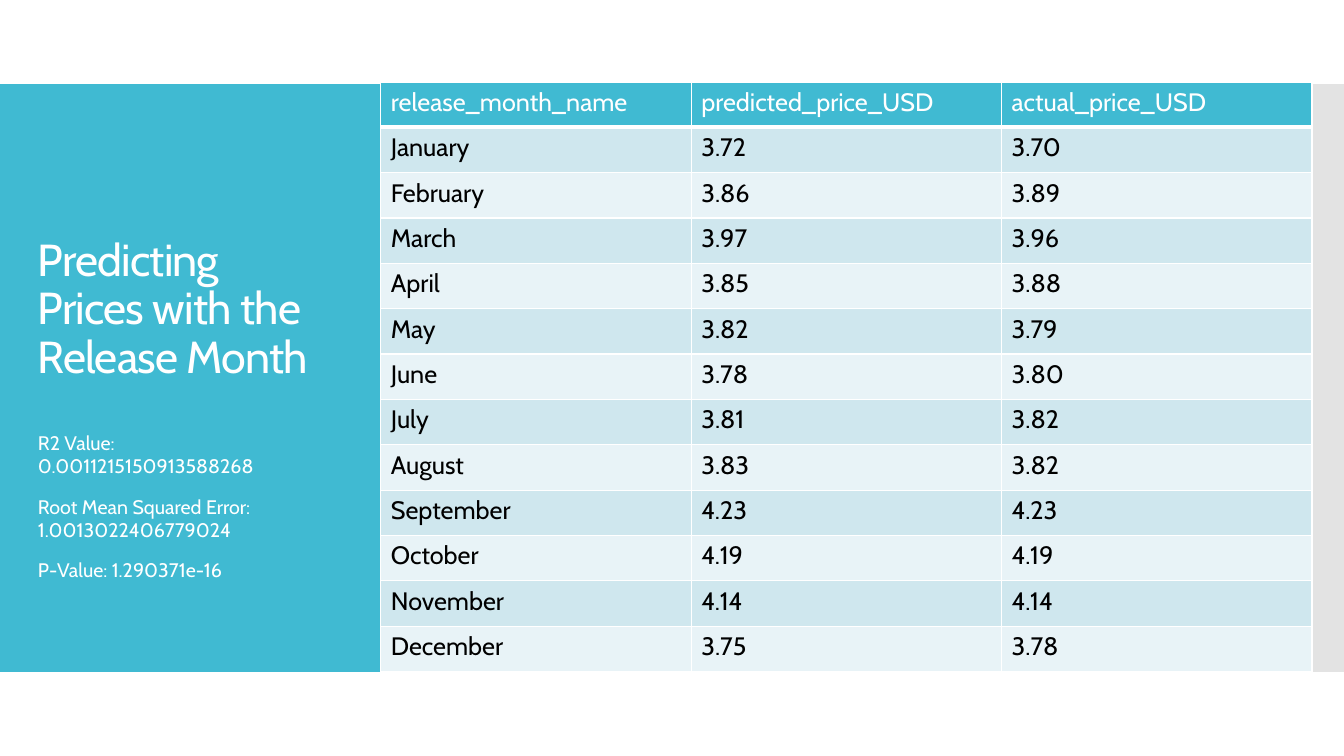
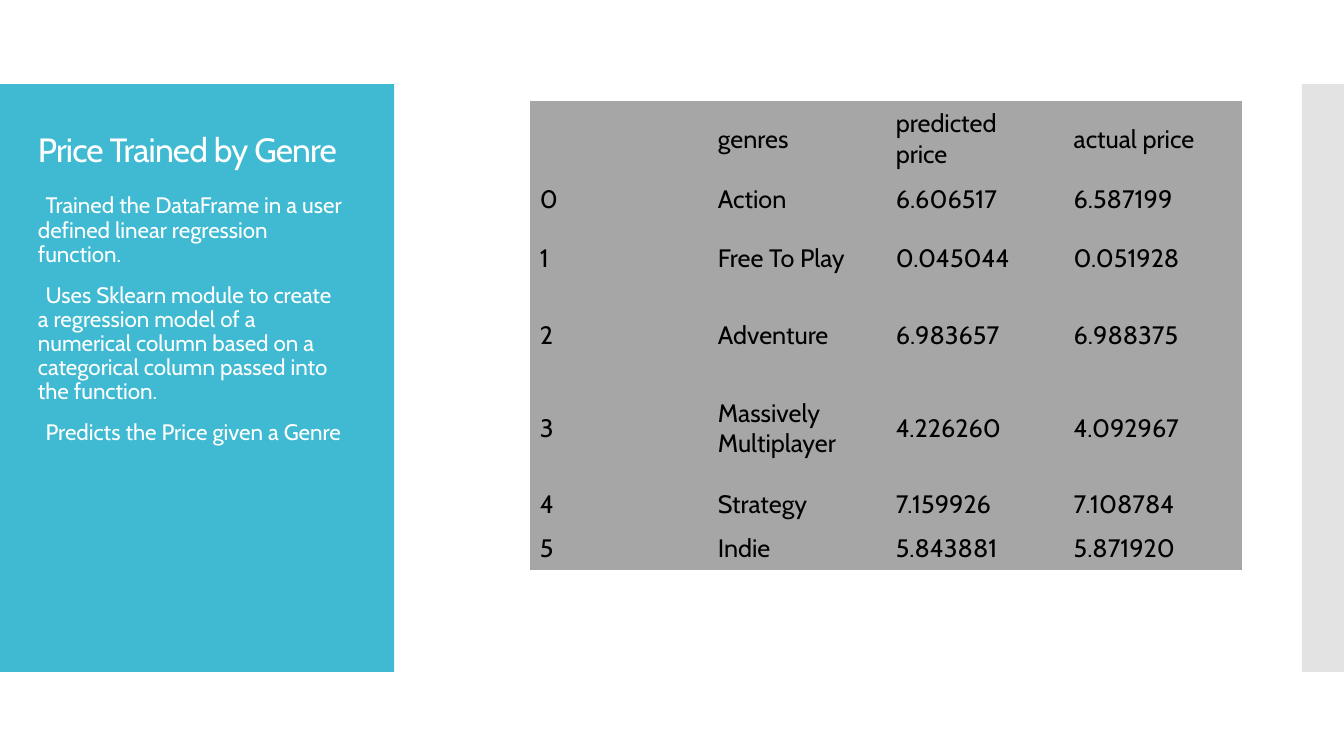
from pptx import Presentation
from pptx.dml.color import RGBColor
from pptx.enum.shapes import MSO_SHAPE as Preset
from pptx.enum.text import MSO_ANCHOR as Anchor
from pptx.oxml.ns import qn
from pptx.util import Pt
from lxml.etree import SubElement

# Content
MONTH_TITLE = "Predicting Prices with the Release Month"
MONTH_SCORES = [
    "R2 Value: 0.0011215150913588268",
    "Root Mean Squared Error: 1.0013022406779024",
    "P-Value: 1.290371e-16",
]
MONTH_PRICES = [
    ("release_month_name", "predicted_price_USD", "actual_price_USD"),
    ("January", "3.72", "3.70"),
    ("February", "3.86", "3.89"),
    ("March", "3.97", "3.96"),
    ("April", "3.85", "3.88"),
    ("May", "3.82", "3.79"),
    ("June", "3.78", "3.80"),
    ("July", "3.81", "3.82"),
    ("August", "3.83", "3.82"),
    ("September", "4.23", "4.23"),
    ("October", "4.19", "4.19"),
    ("November", "4.14", "4.14"),
    ("December", "3.75", "3.78"),
]
GENRE_TITLE = "Price Trained by Genre"
GENRE_NOTES = [
    "Trained the DataFrame in a user defined linear regression function.",
    "Uses Sklearn module to create a regression model of a numerical column "
    "based on a categorical column passed into the function.",
    "Predicts the Price given a Genre",
]
GENRE_PRICES = [
    ("", "genres", "predicted price", "actual price"),
    ("0", "Action", "6.606517", "6.587199"),
    ("1", "Free To Play", "0.045044", "0.051928"),
    ("2", "Adventure", "6.983657", "6.988375"),
    ("3", "Massively Multiplayer", "4.226260", "4.092967"),
    ("4", "Strategy", "7.159926", "7.108784"),
    ("5", "Indie", "5.843881", "5.871920"),
]

# Shared look
FONT = "Cabin"
WHITE = RGBColor(0xFF, 0xFF, 0xFF)
BLACK = RGBColor(0x00, 0x00, 0x00)
TEAL = RGBColor(0x40, 0xBA, 0xD2)
SILVER = RGBColor(0xC8, 0xC8, 0xC8)
GREY = RGBColor(0xA6, 0xA6, 0xA6)
STRIPES = [RGBColor(0xE8, 0xF3, 0xF7), RGBColor(0xCF, 0xE7, 0xEE)]
SLIDE_W, SLIDE_H = 960, 540
BAND_TOP, BAND_H, EDGE_W = 60, 420, 30
TEXT_LEFT = 20
PLAIN_TABLE = "{2D5ABB26-0587-4C30-8999-92F81FD0307C}"


def set_font(run, size, color):
    for name, value in {"name": FONT, "size": Pt(size)}.items():
        setattr(run.font, name, value)
    run.font.color.rgb = color


def add_band(slide, left, width, color, opacity=100):
    band = slide.shapes.add_shape(
        Preset.RECTANGLE, Pt(left), Pt(BAND_TOP), Pt(width), Pt(BAND_H))
    band.shadow.inherit = False
    band.fill.solid()
    band.fill.fore_color.rgb = color
    band.line.fill.background()
    if opacity < 100:
        srgb = band.fill._xPr.find(".//" + qn("a:srgbClr"))
        SubElement(srgb, qn("a:alpha"), val=str(opacity * 1000))


def add_text(slide, box, lines, size, anchor=Anchor.TOP, spacing=None,
             indent=0, tracking=0):
    frame = slide.shapes.add_textbox(*map(Pt, box)).text_frame
    frame.word_wrap = True
    frame.vertical_anchor = anchor
    for i, line in enumerate(lines):
        para = frame.add_paragraph() if i else frame.paragraphs[0]
        form = {"line_spacing": spacing, "space_before": Pt(12 if i else 0)}
        for name, value in form.items():
            setattr(para, name, value)
        run = para.add_run()
        run.text = line
        set_font(run, size, WHITE)
        if indent:
            para._p.get_or_add_pPr().set("indent", str(Pt(indent)))
        if tracking:
            run._r.get_or_add_rPr().set("spc", str(tracking))


def add_panel_slide(deck, panel_w, title, title_box, title_size):
    slide = deck.slides.add_slide(deck.slide_layouts[6])
    add_band(slide, 0, panel_w, TEAL)
    add_band(slide, SLIDE_W - EDGE_W, EDGE_W, SILVER, opacity=50)
    add_text(slide, title_box, [title], title_size, Anchor.BOTTOM,
             spacing=0.9, tracking=-60)
    return slide


def set_border(cell, side, width):
    line = SubElement(cell._tc.get_or_add_tcPr(), qn("a:ln" + side),
                      w=str(Pt(width)))
    fill = SubElement(line, qn("a:solidFill"))
    SubElement(fill, qn("a:srgbClr"), val=str(WHITE))


def add_prices(slide, left, top, col_w, heights, rows, style, anchor, ruled):
    """style(row) gives the fill and the text colour of a row."""
    cols = len(rows[0])
    table = slide.shapes.add_table(
        len(rows), cols, Pt(left), Pt(top),
        Pt(col_w * cols), Pt(sum(heights))).table
    table._tbl.tblPr.find(qn("a:tableStyleId")).text = PLAIN_TABLE
    for column in table.columns:
        column.width = Pt(col_w)
    for r, (row, height) in enumerate(zip(rows, heights)):
        table.rows[r].height = Pt(height)
        fill, color = style(r)
        for c, value in enumerate(row):
            cell = table.cell(r, c)
            cell.vertical_anchor = anchor
            if ruled:
                widths = {"L": 1, "R": 1, "T": 3 if r == 1 else 1,
                          "B": 3 if r == 0 else 1}
                for side, width in widths.items():
                    set_border(cell, side, width)
            cell.fill.solid()
            cell.fill.fore_color.rgb = fill
            if value:
                run = cell.text_frame.paragraphs[0].add_run()
                run.text = value
                set_font(run, 18, color)


def main():
    deck = Presentation()
    deck.slide_width, deck.slide_height = Pt(SLIDE_W), Pt(SLIDE_H)

    # Prices by release month
    month = add_panel_slide(deck, 271.5, MONTH_TITLE,
                            (TEXT_LEFT, 90, 223, 187), 32)
    add_text(month, (TEXT_LEFT, 304, 223, 154), MONTH_SCORES, 14)
    add_prices(month, 272, 58.5, 221.7, [32.4] * len(MONTH_PRICES),
               MONTH_PRICES,
               lambda r: (STRIPES[r % 2], BLACK) if r else (TEAL, WHITE),
               Anchor.TOP, ruled=True)

    # Prices by genre
    genre = add_panel_slide(deck, 281.5, GENRE_TITLE,
                            (TEXT_LEFT, 42.5, 232, 82), 24)
    add_text(genre, (TEXT_LEFT, 135.5, 232, 294), GENRE_NOTES, 16,
             spacing=0.9, indent=5.5)
    add_prices(genre, 378.5, 72, 127.1, [54.7, 31, 54.7, 54.7, 78, 31, 31],
               GENRE_PRICES, lambda r: (GREY, BLACK),
               Anchor.MIDDLE, ruled=False)

    deck.save("out.pptx")


if __name__ == "__main__":
    main()
